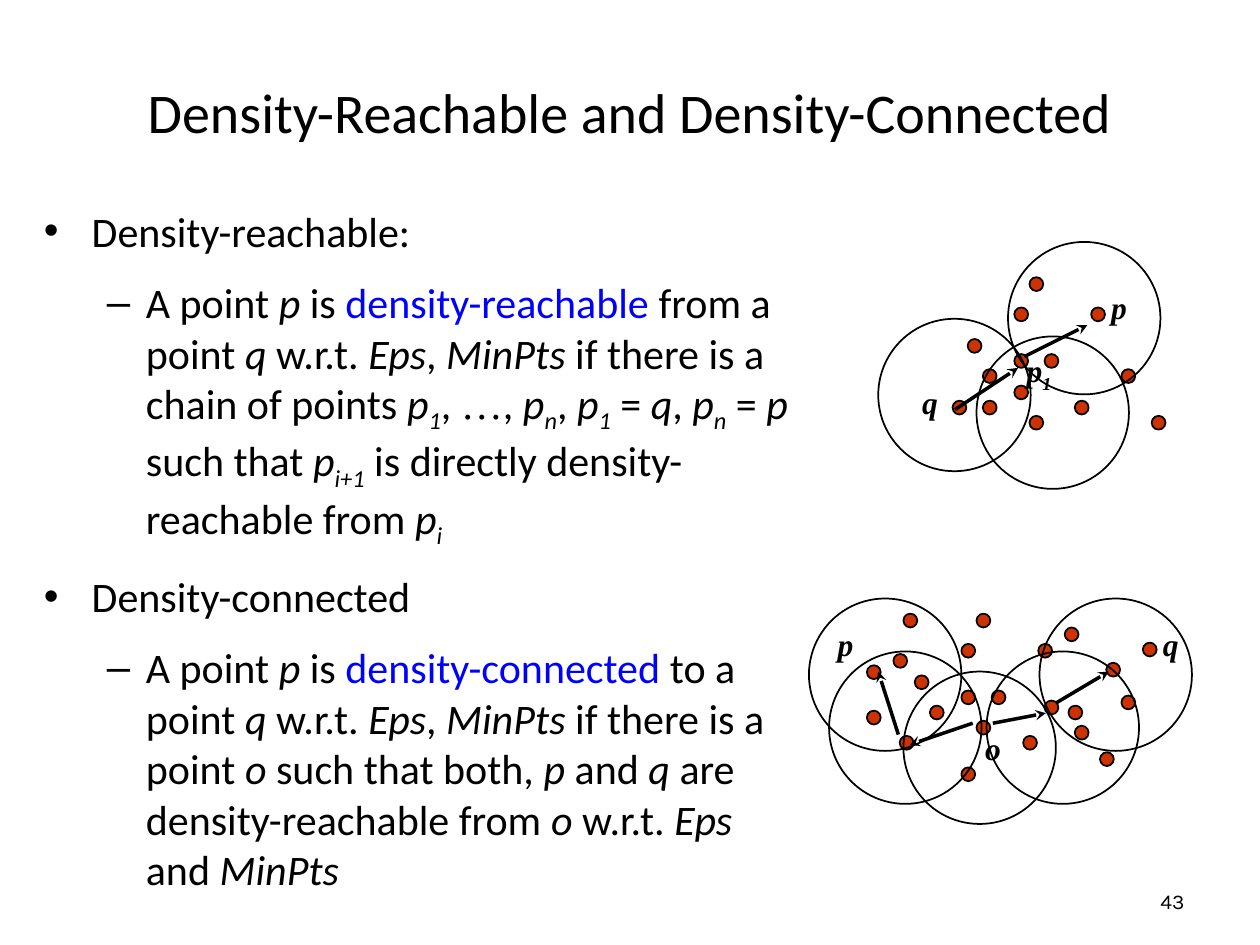
from lxml import etree
from pptx import Presentation
from pptx.dml.color import RGBColor
from pptx.enum import shapes, text
from pptx.oxml import ns
from pptx.util import Inches, Pt

BLACK, BLUE, RED = "000000", "0000FF", "CC3300"
DOT, CIRCLE = 0.11, 1.21

REACHABLE = (
    "A point |i:p| is |b:density-reachable| from a point |i:q| w.r.t. |i:Eps|, |i:MinPts|"
    " if there is a chain of points |i:p||s:1|, |t:…|, |i:p||s:n|, |i:p||s:1| = |i:q|, "
    "|i:p||s:n| = |i:p| such that |i:p||s:i+1| is directly density-reachable from |i:p||s:i|"
)
CONNECTED = (
    "A point |i:p| is |b:density-connected| to a point |i:q| w.r.t. |i:Eps|, |i:MinPts|"
    " if there is a point |i:o |such that both, |i:p| and |i:q| are density-reachable from "
    "|i:o| w.r.t. |i:Eps| and |i:MinPts|"
)
BULLETS = [(0, "Density-reachable:"), (1, REACHABLE),
           (0, "Density-connected"), (1, CONNECTED)]
LEVELS = [("•", 0.38, 0.38), ("–", 0.81, 0.31)]

REACHABLE_DIAGRAM = {
    "dots": [(0.71, 0.77), (1.08, 0.89), (1.08, 0.52), (0.59, 1.26), (0.83, 1.01),
             (0.83, 1.26), (1.2, 1.38), (1.2, 0.28), (1.93, 1.01), (1.69, 0.52),
             (1.08, 1.14), (1.32, 0.89), (1.56, 1.26), (2.17, 1.38)],
    "circles": [(0.78, 0.75), (0, 0.61), (1.03, 0)],
    "labels": [("p", 1.75, 0.32, 0.42), ("q", 0.25, 1.07, 0.42),
               ("p|s:1|", 1.08, 0.82, 0.67)],
    "arrows": [(1.16, 0.91, 1.66, 0.66), (0.61, 1.33, 1.11, 1)],
}
CONNECTED_DIAGRAM = {
    "dots": [(0.84, 0.61), (1.21, 0.73), (1.21, 0.36), (0.72, 1.09), (0.96, 0.85),
             (1.21, 1.34), (1.33, 0.97), (1.33, 0.12), (2.06, 0.85), (1.82, 0.36),
             (0.46, 0.89), (1.45, 0.73), (1.7, 1.09), (2.31, 1.22), (2.48, 0.77),
             (1.87, 0.81), (2.11, 1.01), (2.65, 0.35), (2.03, 0.23), (2.36, 0.51),
             (0.67, 0.44), (0.46, 0.53), (0.75, 0.12)],
    "circles": [(0.16, 0.42), (0.75, 0.58), (1.41, 0.42), (1.83, 0), (0, 0)],
    "labels": [("p", 0.13, 0.16, 0.42), ("q", 2.71, 0.16, 0.42), ("o", 1.3, 0.99, 0.42)],
    "arrows": [(1.3, 0.99, 0.8, 1.16), (1.46, 0.99, 1.88, 0.91),
               (0.71, 1.08, 0.55, 0.58), (1.96, 0.83, 2.38, 0.58)],
}


def color(hex_value):
    return RGBColor.from_string(hex_value)


def add_runs(paragraph, markup):
    for index, chunk in enumerate(markup.split("|")):
        style, words = chunk.split(":", 1) if index % 2 else ("", chunk)
        if not words:
            continue
        run = paragraph.add_run()
        run.text = words
        if style in ("i", "s"):
            run.font.italic = True
        if style == "s":
            run.font._element.set("baseline", "-25000")
        elif style == "b":
            run.font.color.rgb = color(BLUE)
        elif style == "t":
            run.font.name = "Times New Roman"


def set_font(paragraph, name, size):
    paragraph.font.name = name
    paragraph.font.size = Pt(size)
    paragraph.font.color.rgb = color(BLACK)


def add_frame(slide, box, anchor=text.MSO_ANCHOR.TOP):
    frame = slide.shapes.add_textbox(*map(Inches, box)).text_frame
    frame.word_wrap = True
    frame.vertical_anchor = anchor
    return frame


def add_line(slide, box, words, font, size, align):
    paragraph = add_frame(slide, box, text.MSO_ANCHOR.MIDDLE).paragraphs[0]
    add_runs(paragraph, words)
    paragraph.alignment = align
    set_font(paragraph, font, size)


def add_definitions(slide, box):
    frame = add_frame(slide, box)
    for index, (level, markup) in enumerate(BULLETS):
        paragraph = frame.add_paragraph() if index else frame.paragraphs[0]
        mark, margin, hang = LEVELS[level]
        paragraph.level = level
        properties = paragraph._p.get_or_add_pPr()
        properties.set("marL", str(Inches(margin)))
        properties.set("indent", str(-Inches(hang)))
        etree.SubElement(properties, ns.qn("a:buFont")).set("typeface", "Arial")
        etree.SubElement(properties, ns.qn("a:buChar")).set("char", mark)
        set_font(paragraph, "Calibri", 24)
        if index:
            paragraph.space_before = Pt(12)
        add_runs(paragraph, markup)


def add_round(slide, left, top, size, fill=None):
    disc = slide.shapes.add_shape(
        shapes.MSO_SHAPE.OVAL, *map(Inches, (left, top, size, size)))
    disc.shadow.inherit = False
    if fill:
        disc.fill.solid()
        disc.fill.fore_color.rgb = color(fill)
    else:
        disc.fill.background()
    disc.line.color.rgb = color(BLACK)
    disc.line.width = Pt(1)


def add_arrow(slide, start_x, start_y, end_x, end_y):
    arrow = slide.shapes.add_connector(
        shapes.MSO_CONNECTOR.STRAIGHT, *map(Inches, (start_x, start_y, end_x, end_y)))
    arrow.line.color.rgb = color(BLACK)
    arrow.line.width = Pt(2)
    outline = arrow.line._get_or_add_ln()
    etree.SubElement(outline, ns.qn("a:tailEnd")).set("type", "stealth")
    etree.SubElement(arrow._element.spPr, ns.qn("a:effectLst"))


def add_diagram(slide, left, top, parts):
    for x, y in parts["dots"]:
        add_round(slide, left + x, top + y, DOT, RED)
    for x, y in parts["circles"]:
        add_round(slide, left + x, top + y, CIRCLE)
    for markup, x, y, width in parts["labels"]:
        paragraph = add_frame(slide, (left + x, top + y, width, 0.5)).paragraphs[0]
        set_font(paragraph, "Times New Roman", 18)
        paragraph.font.bold = paragraph.font.italic = True
        add_runs(paragraph, markup)
    for x1, y1, x2, y2 in parts["arrows"]:
        add_arrow(slide, left + x1, top + y1, left + x2, top + y2)


def main():
    deck = Presentation()
    deck.slide_width, deck.slide_height = Inches(10), Inches(7.5)
    slide = deck.slides.add_slide(deck.slide_layouts[6])
    add_line(slide, (0, 0.42, 10, 0.92), "Density-Reachable and Density-Connected",
             "Calibri", 32, text.PP_ALIGN.CENTER)
    add_definitions(slide, (0.25, 1.58, 6.17, 5.5))
    add_diagram(slide, 6.97, 1.92, REACHABLE_DIAGRAM)
    add_diagram(slide, 6.42, 4.75, CONNECTED_DIAGRAM)
    add_line(slide, (7.17, 6.95, 2.33, 0.4), "43", "Karla", 12, text.PP_ALIGN.RIGHT)
    deck.save("out.pptx")


if __name__ == "__main__":
    main()
